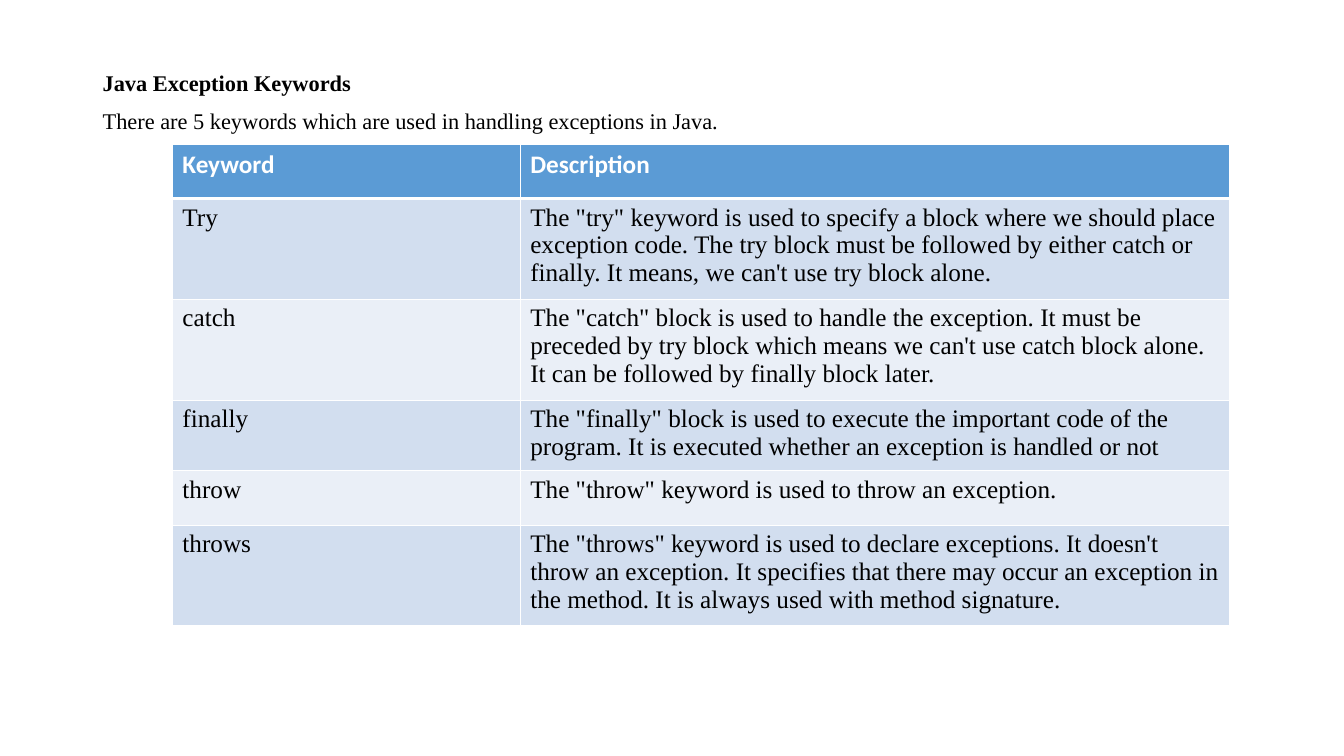
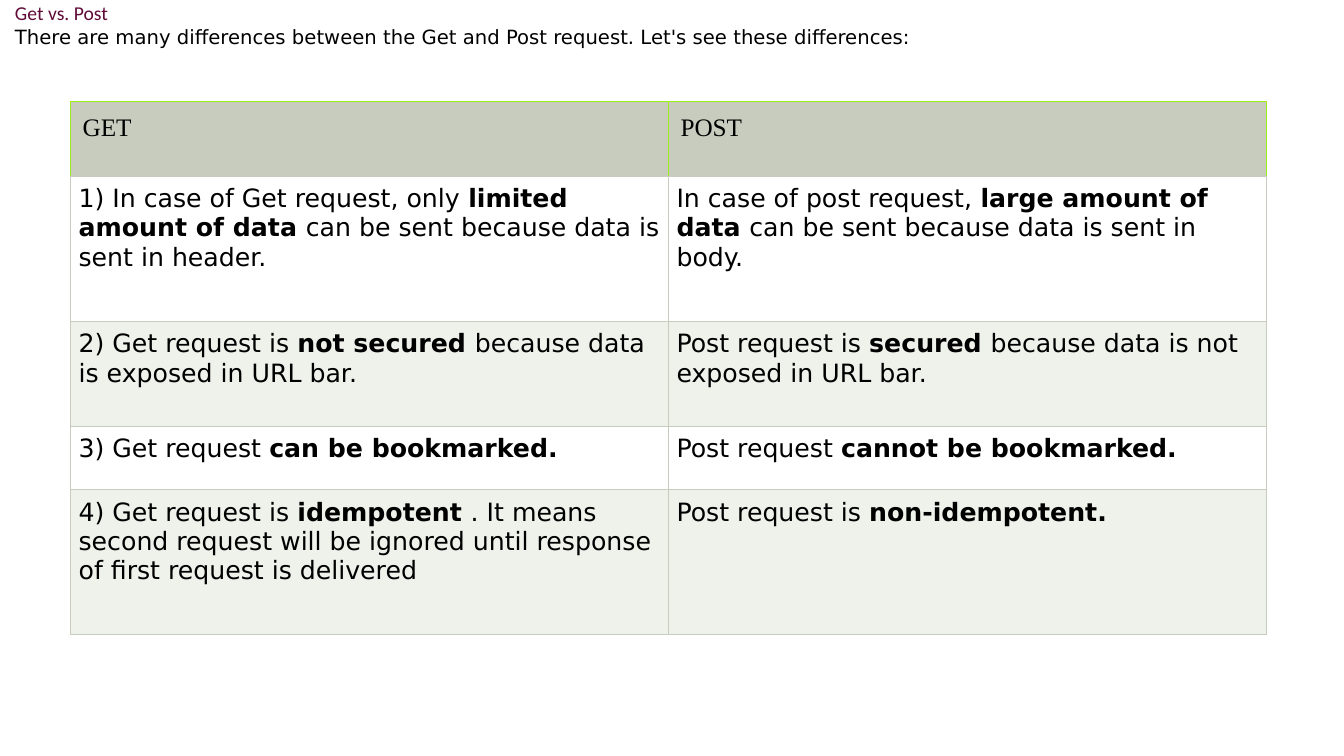
"""Two slides with tables: Java exception keywords, and Get versus Post."""
from lxml.etree import SubElement
from pptx import Presentation
from pptx.dml.color import RGBColor
from pptx.enum.shapes import MSO_SHAPE
from pptx.enum.text import MSO_ANCHOR, PP_ALIGN
from pptx.oxml.ns import qn
from pptx.util import Inches, Pt

BLACK = RGBColor(0x00, 0x00, 0x00)
WHITE = RGBColor(0xFF, 0xFF, 0xFF)
BLUE = RGBColor(0x5B, 0x9B, 0xD5)
BLUE_MID = RGBColor(0xD2, 0xDE, 0xEF)
BLUE_PALE = RGBColor(0xEA, 0xEF, 0xF7)
SAGE = RGBColor(0xC7, 0xCC, 0xBE)
SAGE_PALE = RGBColor(0xEF, 0xF1, 0xEB)
LIME = RGBColor(0xA0, 0xEC, 0x18)
WINE = RGBColor(0x61, 0x0B, 0x38)
SERIF, SANS, HEAD = "Times New Roman", "DejaVu Sans", "Calibri"


def write(p, text, font, size, color, bold=False):
    """Fill a paragraph, turning bold on or off at each ** mark."""
    for i, part in enumerate(text.split("**")):
        if part:
            r = p.add_run()
            r.text = part
            r.font.name, r.font.size = font, Pt(size)
            r.font.color.rgb = color
            r.font.bold = bold or i % 2 == 1


def draw_table(s, left, top, widths, heights, rows, head, body, bands, line, rule):
    """Add a table; head and body hold font, colour, bold, inset and edge colour."""
    frame = s.shapes.add_table(len(rows), len(widths), Inches(left), Inches(top),
                               Inches(sum(widths)), Inches(sum(heights)))
    table = frame.table
    table.horz_banding = table.first_row = False
    for column, width in zip(table.columns, widths):
        column.width = Inches(width)
    for n, (row, height, texts) in enumerate(zip(table.rows, heights, rows)):
        row.height = Inches(height)
        font, color, bold, (inset_x, inset_y), edge = body if n else head
        for cell, text in zip(row.cells, texts):
            cell.margin_left = cell.margin_right = Inches(inset_x)
            cell.margin_top = cell.margin_bottom = Inches(inset_y)
            write(cell.text_frame.paragraphs[0], text, font, 18, color, bold)
            sides = {"L": (edge, line), "R": (edge, line),
                     "T": rule if n == 1 else (edge, line),
                     "B": rule if n == 0 else (edge, line)}
            tcPr = cell._tc.get_or_add_tcPr()
            for side, (tint, points) in sides.items():
                ln = SubElement(tcPr, qn(f"a:ln{side}"), w=str(Pt(points)))
                SubElement(SubElement(ln, qn("a:solidFill")), qn("a:srgbClr"), val=str(tint))
            cell.fill.solid()
            cell.fill.fore_color.rgb = bands[1 + (n - 1) % 2] if n else bands[0]


prs = Presentation()
prs.slide_width, prs.slide_height = Inches(13.33), Inches(7.5)
blank = prs.slide_layouts[6]

s = prs.slides.add_slide(blank)
tf = s.shapes.add_textbox(Inches(0.92), Inches(0.67), Inches(11.5), Inches(6.14)).text_frame
tf.word_wrap = True
intro = ["**Java Exception Keywords**",
         "There are 5 keywords which are used in handling exceptions in Java."]
for i, text in enumerate(intro):
    p = tf.add_paragraph() if i else tf.paragraphs[0]
    p.line_spacing = 0.9
    p.space_before = Pt(10 if i else 0)
    write(p, text, SERIF, 16, BLACK)

keywords = [
    ("Keyword", "Description"),
    ("Try", "The \"try\" keyword is used to specify a block where we should place exception code. "
            "The try block must be followed by either catch or finally. "
            "It means, we can't use try block alone."),
    ("catch", "The \"catch\" block is used to handle the exception. It must be preceded by try block "
              "which means we can't use catch block alone. "
              "It can be followed by finally block later."),
    ("finally", "The \"finally\" block is used to execute the important code of the program. "
                "It is executed whether an exception is handled or not"),
    ("throw", "The \"throw\" keyword is used to throw an exception."),
    ("throws", "The \"throws\" keyword is used to declare exceptions. It doesn't throw an exception. "
               "It specifies that there may occur an exception in the method. "
               "It is always used with method signature."),
]
draw_table(s, 1.71, 1.43, [3.45, 7.04], [0.54] * len(keywords), keywords,
           head=(HEAD, WHITE, True, (0.1, 0.05), WHITE),
           body=(SERIF, BLACK, False, (0.1, 0.05), WHITE),
           bands=(BLUE, BLUE_MID, BLUE_PALE), line=1, rule=(WHITE, 3))

s = prs.slides.add_slide(blank)
requests = [
    ("GET", "POST"),
    ("1) In case of Get request, only **limited amount of data **can be sent because data is "
     "sent in header.",
     "In case of post request, **large amount of data **can be sent because data is sent in body."),
    ("2) Get request is **not secured **because data is exposed in URL bar.",
     "Post request is **secured **because data is not exposed in URL bar."),
    ("3) Get request **can be bookmarked.**", "Post request **cannot be bookmarked.**"),
    ("4) Get request is **idempotent **. It means second request will be ignored until response "
     "of first request is delivered", "Post request is **non-idempotent.**"),
]
draw_table(s, 0.7, 1.01, [5.93] * 2, [0.74, 1.44, 1.04, 0.63, 1.44], requests,
           head=(SERIF, BLACK, False, (0.12, 0.12), LIME),
           body=(SANS, BLACK, False, (0.08, 0.08), SAGE),
           bands=(SAGE, WHITE, SAGE_PALE), line=0.75, rule=(SAGE, 0.75))

sp = s.shapes.add_shape(MSO_SHAPE.RECTANGLE, Inches(0.05), Inches(-0.04),
                        Inches(13.28), Inches(0.57))
sp.shadow.inherit = False
sp.fill.solid()
sp.fill.fore_color.rgb = WHITE
sp.line.fill.background()
tf = sp.text_frame
tf.word_wrap = True
tf.vertical_anchor = MSO_ANCHOR.MIDDLE
heading = [("Get vs. Post", HEAD, WINE),
           ("There are many differences between the Get and Post request. "
            "Let's see these differences:", SANS, BLACK)]
for i, (text, font, color) in enumerate(heading):
    p = tf.add_paragraph() if i else tf.paragraphs[0]
    p.alignment = PP_ALIGN.LEFT
    write(p, text, font, 14, color)

prs.save("out.pptx")
